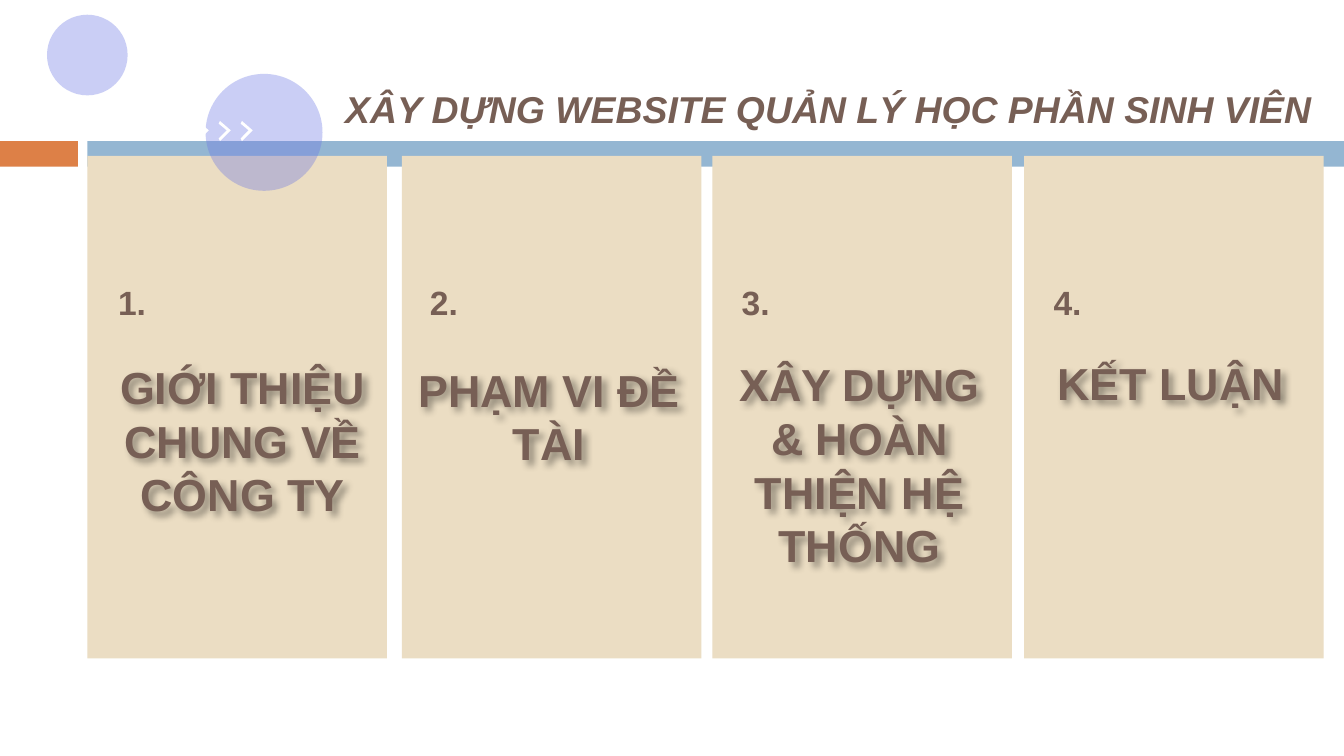
from lxml import etree
from pptx import Presentation
from pptx.dml.color import RGBColor
from pptx.enum.shapes import MSO_SHAPE
from pptx.enum.text import MSO_ANCHOR, PP_ALIGN
from pptx.oxml import parse_xml
from pptx.oxml.ns import qn
from pptx.util import Inches, Pt

RECTANGLE, OVAL = MSO_SHAPE.RECTANGLE, MSO_SHAPE.OVAL
LEFT, CENTER, JUSTIFY = PP_ALIGN.LEFT, PP_ALIGN.CENTER, PP_ALIGN.JUSTIFY
MIDDLE = MSO_ANCHOR.MIDDLE

COLORS = {
    "orange": "DD8047",
    "blue": "94B6D2",
    "panel": "EBDDC3",
    "bubble": "6E79E4",
    "text": "775F55",
    "white": "FFFFFF",
}
TEXT_SHADOW = (
    '<a:effectLst xmlns:a="http://schemas.openxmlformats.org/drawingml/2006/main">'
    '<a:outerShdw blurRad="50800" dist="38100" dir="2700000" algn="tl" rotWithShape="0">'
    '<a:prstClr val="black"><a:alpha val="40000"/></a:prstClr>'
    "</a:outerShdw></a:effectLst>"
)

# 16:9 slide
presentation = Presentation()
presentation.slide_width = Inches(10)
presentation.slide_height = Inches(10 * 9 / 16)
slide = presentation.slides.add_slide(presentation.slide_layouts[6])


def style_shape(shape, color):
    shape.shadow.inherit = False
    shape.fill.solid()
    shape.fill.fore_color.rgb = RGBColor.from_string(COLORS[color])
    shape.line.fill.background()
    return shape


def add_label(text, left, top, width, height, size, alignment, italic=None):
    box = slide.shapes.add_textbox(
        Inches(left), Inches(top), Inches(width), Inches(height))
    frame = box.text_frame
    frame.word_wrap = True
    frame.vertical_anchor = MIDDLE
    frame.margin_left = frame.margin_right = Inches(0.1)
    frame.margin_top = frame.margin_bottom = Inches(0.1)
    paragraph = frame.paragraphs[0]
    paragraph.text = text
    paragraph.alignment = alignment
    font = paragraph.font
    font.name = "Arial"
    font.size = Pt(size)
    font.bold = True
    font.italic = italic
    font.color.rgb = RGBColor.from_string(COLORS["text"])
    return box


# Header band
for left, width, color in [(0, 0.58, "orange"), (0.65, 9.35, "blue")]:
    band = slide.shapes.add_shape(
        RECTANGLE, Inches(left), Inches(1.05), Inches(width), Inches(0.19))
    style_shape(band, color)

# Agenda panels: panel left, heading, heading left and top, alignment
sections = [
    (0.65, "GIỚI THIỆU CHUNG VỀ CÔNG TY", 0.69, 2.88, CENTER),
    (2.99, "PHẠM VI ĐỀ TÀI", 2.97, 2.7, CENTER),
    (5.3, "XÂY DỰNG & HOÀN THIỆN HỆ THỐNG", 5.28, 3.06, CENTER),
    (7.62, "KẾT LUẬN", 7.77, 2.45, LEFT),
]
for index, (panel_left, heading, left, top, alignment) in enumerate(sections):
    panel = slide.shapes.add_shape(
        RECTANGLE, Inches(panel_left), Inches(1.16), Inches(2.23), Inches(3.74))
    style_shape(panel, "panel")
    heading_box = add_label(heading, left, top, 2.23, 0.79, 24, alignment)
    heading_box.element.spPr.append(parse_xml(TEXT_SHADOW))
    add_label(f"{index + 1}.", 0.78 + 2.32 * index, 2.02, 1.01, 0.45, 18, JUSTIFY)

# Translucent bubbles
for left, top, diameter in [(0.35, 0.11, 0.6), (1.53, 0.55, 0.87)]:
    bubble = slide.shapes.add_shape(
        OVAL, Inches(left), Inches(top), Inches(diameter), Inches(diameter))
    style_shape(bubble, "bubble")
    color_element = bubble.element.spPr.find(qn("a:solidFill"))[0]
    etree.SubElement(color_element, qn("a:alpha"), val="36000")

# Row of chevrons, outlined in hundredths of an inch
chevrons = slide.shapes.add_group_shape()
outline = [(9, 7), (1, 0), (0, 2), (6, 7), (0, 13)]
for index in range(4):
    builder = chevrons.shapes.build_freeform(1, 15, scale=Inches(0.01))
    builder.add_line_segments(outline, close=True)
    chevron = builder.convert_to_shape(Inches(1.3 + 0.49 * index / 3), Inches(0.9))
    style_shape(chevron, "white")

# Title
add_label("XÂY DỰNG WEBSITE QUẢN LÝ HỌC PHẦN SINH VIÊN",
          2.47, 0.41, 7.43, 0.79, 20, LEFT, italic=True)

presentation.save("out.pptx")
